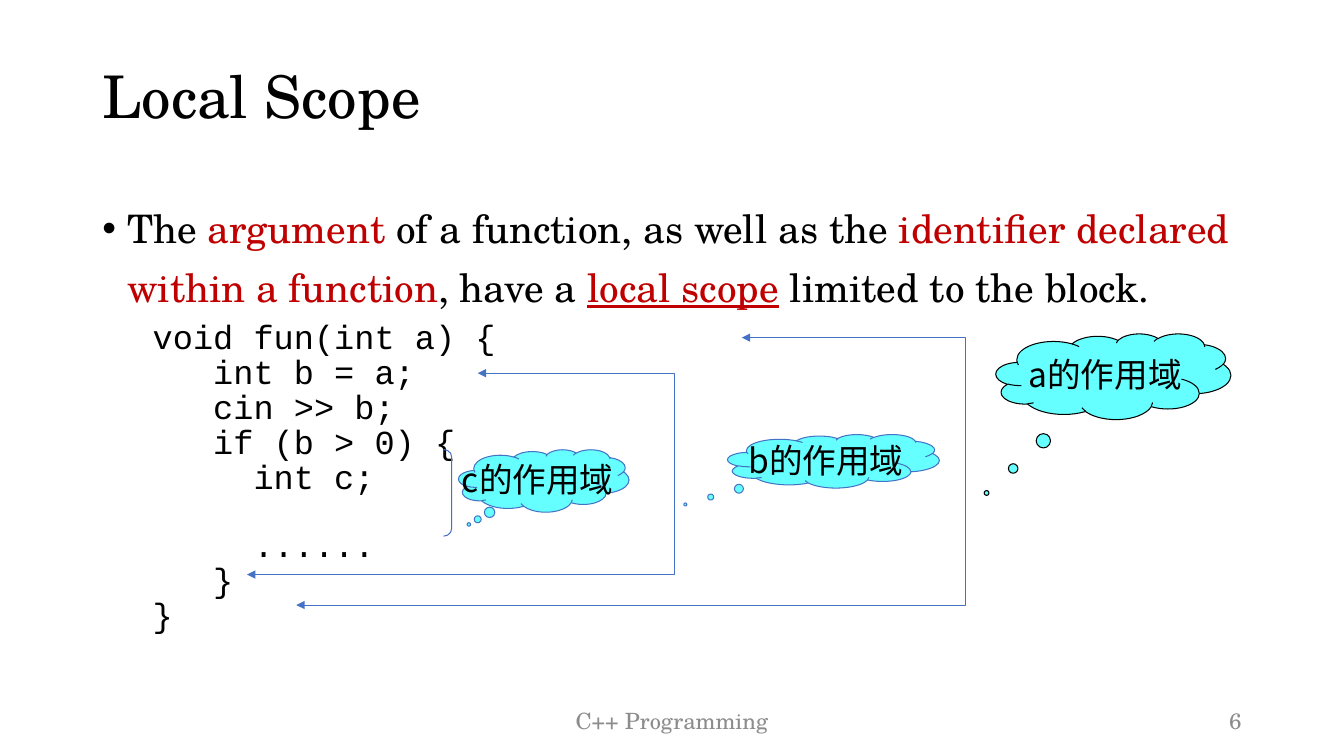
from dataclasses import dataclass
from lxml import etree
from pptx import Presentation
from pptx.dml.color import RGBColor as Color
from pptx.enum.shapes import MSO_SHAPE as Shape
from pptx.enum.text import MSO_ANCHOR as Anchor, PP_ALIGN as Align
from pptx.oxml.ns import qn
from pptx.util import Pt


@dataclass(frozen=True)
class Theme:
    serif: str = "TeX Gyre Schola"
    mono: str = "Courier New"
    cjk: str = "Noto Sans CJK SC"
    black: str = "000000"
    red: str = "C00000"
    gray: str = "8C8C8C"
    cyan: str = "66FFFF"
    blue: str = "4472C4"
    title: int = 42
    body: int = 28
    code: int = 24
    foot: int = 16
    line: float = 0.75


class Deck:
    def __init__(self, theme):
        self.theme = theme
        self.prs = Presentation()
        self.prs.slide_width, self.prs.slide_height = Pt(960), Pt(540)
        self.slide = self.prs.slides.add_slide(self.prs.slide_layouts[5])

    def style(self, run, size, face, color):
        font = run.font
        font.size, font.name = Pt(size), face
        font.color.rgb = Color.from_string(color)
        etree.SubElement(run._r.get_or_add_rPr(), qn("a:ea"), typeface=face)

    def edge(self, shape, color):
        shape.shadow.inherit = False
        shape.line.color.rgb = Color.from_string(color)
        shape.line.width = Pt(self.theme.line)

    def title(self, text, x, y, w, h):
        box = self.slide.shapes.title
        box.left, box.top, box.width, box.height = map(Pt, (x, y, w, h))
        frame = box.text_frame
        frame.text = text
        frame.vertical_anchor = Anchor.MIDDLE
        para = frame.paragraphs[0]
        para.alignment, para.line_spacing = Align.LEFT, 0.9
        t = self.theme
        self.style(para.runs[0], t.title, t.serif, t.black)

    def box(self, x, y, w, h):
        frame = self.slide.shapes.add_textbox(*map(Pt, (x, y, w, h))).text_frame
        frame.word_wrap = True
        return frame

    def label(self, text, x, y, w, h, align):
        frame = self.box(x, y, w, h)
        frame.text = text
        frame.vertical_anchor = Anchor.MIDDLE
        para = frame.paragraphs[0]
        para.alignment = align
        t = self.theme
        self.style(para.runs[0], t.foot, t.serif, t.gray)

    def point(self, para, parts):
        para.line_spacing, para.space_after = 1.25, Pt(7)
        props = para._p.get_or_add_pPr()
        props.set("marL", str(Pt(18)))
        props.set("indent", str(Pt(-18)))
        etree.SubElement(props, qn("a:buFont"), typeface="Arial")
        etree.SubElement(props, qn("a:buChar"), char="•")
        t = self.theme
        for text, color, under in parts:
            run = para.add_run()
            run.text = text
            self.style(run, t.body, t.serif, color)
            run.font.underline = under

    def code(self, para, text, gap):
        para.text = text
        para.line_spacing, para.space_before = 0.65, Pt(gap)
        props = para._p.get_or_add_pPr()
        props.set("marL", str(Pt(54)))
        props.set("indent", str(Pt(-18)))
        etree.SubElement(props, qn("a:buNone"))
        t = self.theme
        self.style(para.runs[0], t.code, t.mono, t.black)

    def cloud(self, text, x, y, w, h, tail, color):
        t = self.theme
        shape = self.slide.shapes.add_shape(Shape.CLOUD_CALLOUT, *map(Pt, (x, y, w, h)))
        shape.adjustments[0], shape.adjustments[1] = tail
        shape.fill.solid()
        shape.fill.fore_color.rgb = Color.from_string(t.cyan)
        self.edge(shape, color)
        frame = shape.text_frame
        frame.text = text
        frame.word_wrap = False
        frame.vertical_anchor = Anchor.MIDDLE
        para = frame.paragraphs[0]
        para.alignment = Align.CENTER
        self.style(para.runs[0], t.code, t.cjk, t.black)

    def brace(self, x, y, w, h):
        shape = self.slide.shapes.add_shape(Shape.RIGHT_BRACKET, *map(Pt, (x, y, w, h)))
        shape.adjustments[0] = 0.92
        shape.fill.background()
        self.edge(shape, self.theme.blue)

    def span(self, start, right, top, end, low):
        path = self.slide.shapes.build_freeform(Pt(start), Pt(top))
        bends = [(right, top), (right, low), (end, low)]
        path.add_line_segments([(Pt(x), Pt(y)) for x, y in bends], close=False)
        shape = path.convert_to_shape()
        shape.fill.background()
        self.edge(shape, self.theme.blue)
        line = shape.line._get_or_add_ln()
        for tag in ("a:headEnd", "a:tailEnd"):
            etree.SubElement(line, qn(tag), type="triangle", w="med", len="med")


def main():
    t = Theme()
    deck = Deck(t)
    deck.title("Local Scope", 66, 18.7, 828, 104.4)

    body = deck.box(66, 134, 828, 343)
    deck.point(body.paragraphs[0], [
        ("The ", t.black, False),
        ("argument", t.red, False),
        (" of a function, as well as the ", t.black, False),
        ("identifier declared within a function", t.red, False),
        (", have a ", t.black, False),
        ("local scope", t.red, True),
        (" limited to the block.", t.black, False),
    ])
    gap, pitch = 6.2, 23.9
    for text, skip in [
        ("void fun(int a) {", 0),
        ("   int b = a;", 0),
        ("   cin >> b;", 0),
        ("   if (b > 0) {", 0),
        ("     int c;", 0),
        ("     ......", 1),
        ("   }", 0),
        ("}", 0),
    ]:
        deck.code(body.add_paragraph(), text, gap + skip * pitch)

    deck.label("C++ Programming", 318, 500.5, 324, 28.8, Align.CENTER)
    deck.label("6", 678, 500.5, 216, 28.8, Align.RIGHT)

    deck.cloud("c的作用域", 327.6, 321.1, 121.7, 44.6, (-0.44, 0.7), t.blue)
    deck.brace(316.8, 321.1, 5.8, 61.9)
    deck.span(529.9, 689.8, 241.2, 211.7, 432.2)
    deck.cloud("a的作用域", 711.4, 238.3, 167.8, 61.2, (-0.54, 1.36), t.black)
    deck.span(341.3, 481.7, 266.6, 176.4, 410.4)
    deck.cloud("b的作用域", 519.8, 310.3, 151.2, 38.2, (-0.7, 0.81), t.blue)
    deck.prs.save("out.pptx")


if __name__ == "__main__":
    main()
